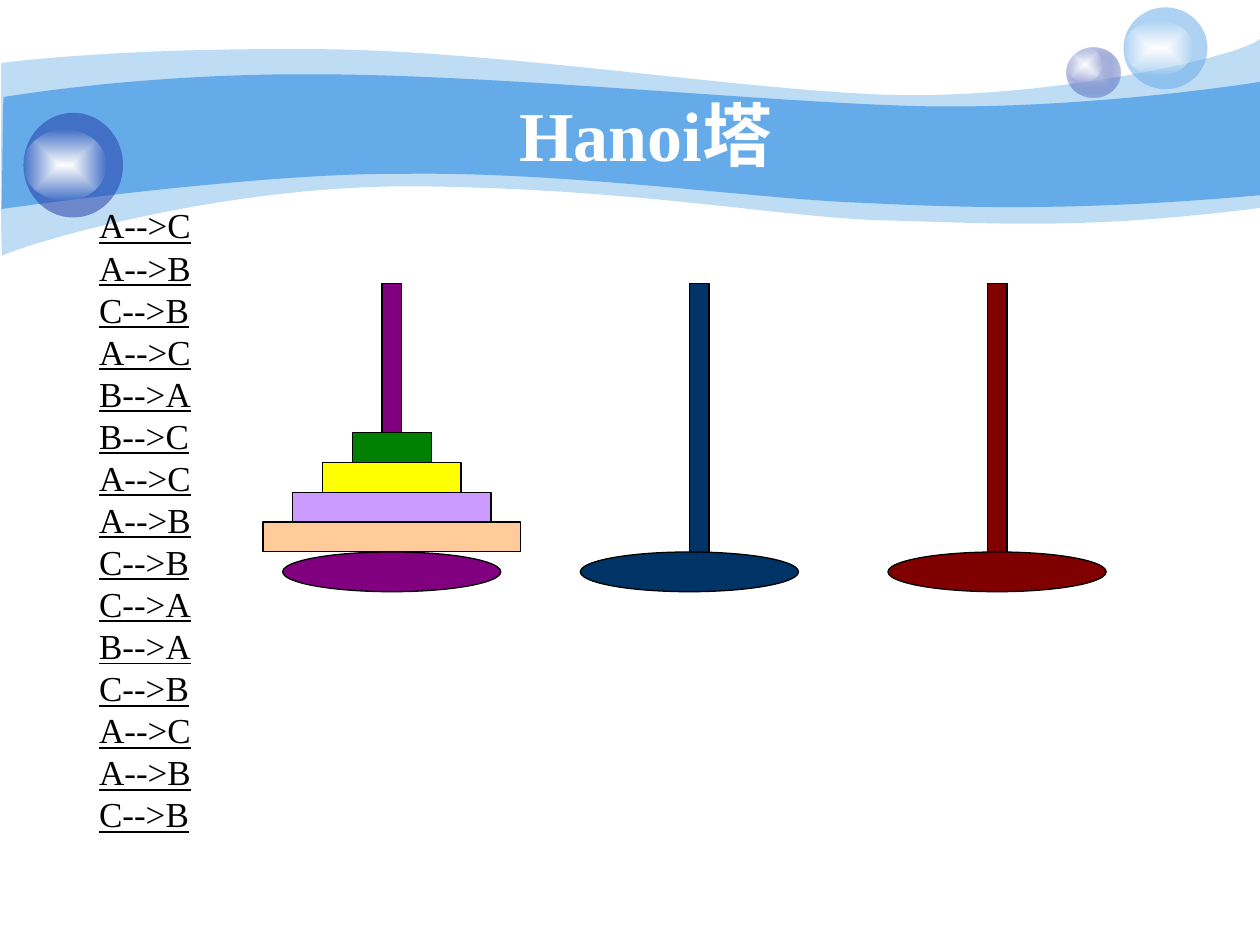
from lxml import etree
from pptx import Presentation
from pptx.dml.color import RGBColor
from pptx.enum.shapes import MSO_SHAPE
from pptx.enum.text import MSO_ANCHOR, MSO_AUTO_SIZE, PP_ALIGN
from pptx.oxml import parse_xml
from pptx.oxml.ns import nsdecls, qn
from pptx.util import Pt

WHITE = RGBColor(0xFF, 0xFF, 0xFF)
BLACK = RGBColor(0, 0, 0)
SKY = RGBColor(0x65, 0xAA, 0xE9)
INDIGO = RGBColor(0x23, 0x3D, 0xA9)
LAVENDER = RGBColor(0xC7, 0xCE, 0xE9)
MAROON = RGBColor(0x80, 0, 0)
NAVY = RGBColor(0, 0x33, 0x66)
PURPLE = RGBColor(0x80, 0, 0x80)
GREEN = RGBColor(0, 0x80, 0)
YELLOW = RGBColor(0xFF, 0xFF, 0)
LILAC = RGBColor(0xCC, 0x99, 0xFF)
PEACH = RGBColor(0xFF, 0xCC, 0x99)

prs = Presentation()
prs.slide_width, prs.slide_height = Pt(720), Pt(540)
s = prs.slides.add_slide(prs.slide_layouts[1])


def paint(sp, color, alpha=100, line=None):
    """Solid fill with optional transparency and outline, no shadow."""
    sp.shadow.inherit = False
    sp.fill.solid()
    sp.fill.fore_color.rgb = color
    if alpha < 100:
        clr = sp.fill._xPr.find(qn("a:solidFill"))[0]
        etree.SubElement(clr, qn("a:alpha")).set("val", str(alpha * 1000))
    if line is None:
        sp.line.fill.background()
    else:
        sp.line.color.rgb = line
        sp.line.width = Pt(0.75)


def add(kind, x, y, w, h, *style):
    sp = s.shapes.add_shape(kind, Pt(x), Pt(y), Pt(w), Pt(h))
    paint(sp, *style)
    return sp


# Wave bands: start point, then straight (one point) or cubic (three points) segments
waves = [
    (41, (0.7, 36), [
        (18, 33.8, 78.5, 27.4, 177.8, 28.1), (278, 28.1, 414.7, 50.4, 503.3, 54),
        (591.8, 57.6, 705.6, 33.8, 720, 22.3), (720, 118.8),
        (617.8, 131.8, 567.4, 127.4, 507.6, 126), (447.8, 124.6, 371.5, 108.7, 247.7, 106.6),
        (124.6, 103.7, 3.6, 143.3, 1.4, 146.2), (0, 149.8, 0.7, 54, 0.7, 36)]),
    (100, (2.2, 55.4), [
        (3.6, 55.4, 80.6, 41.8, 180, 42.5), (279.4, 42.5, 429.1, 57.6, 517.7, 60.5),
        (606.2, 63.4, 702.7, 49.7, 720, 46.8), (720, 111.6),
        (614.2, 121, 551.5, 118.8, 491.8, 115.9), (432, 113.8, 322.6, 97.9, 229.7, 99.4),
        (147.6, 98.6, 0, 119.5, 0.7, 119.5), (1.4, 119.5, 1.4, 55.4, 2.2, 55.4)]),
]
for alpha, start, segments in waves:
    fb = s.shapes.build_freeform(Pt(start[0]), Pt(start[1]))
    fb.add_line_segments([(Pt(seg[-2]), Pt(seg[-1])) for seg in segments], close=True)
    band = fb.convert_to_shape()
    paint(band, SKY, alpha)
    # Bend the straight segments into cubic curves
    for node, seg in zip(list(band._element.iter(qn("a:lnTo"))), segments):
        if len(seg) == 6:
            node.tag = qn("a:cubicBezTo")
            for i, (x, y) in enumerate([seg[:2], seg[2:4]]):
                pt = etree.Element(qn("a:pt"))
                pt.set("x", str(Pt(x) - band.left))
                pt.set("y", str(Pt(y) - band.top))
                node.insert(i, pt)

# Bubbles, each with a glow fading out from its centre
bubbles = [
    ((609.8, 27.2, 30.5, 28.8), INDIGO, 31, LAVENDER, (609.8, 27.2, 20.2, 19.4)),
    ((642, 4.2, 48, 46.8), SKY, 53, None, (642, 12, 40, 31)),
    ((13.4, 64.5, 56.9, 59.8), INDIGO, 53, None, (13.4, 74.2, 47.3, 40.3)),
]
for ball, color, alpha, core, glow in bubbles:
    fades = [(add(MSO_SHAPE.OVAL, *ball, color, alpha), core, color, alpha),
             (add(MSO_SHAPE.OVAL, *glow, WHITE), WHITE, WHITE, 0)]
    for sp, inner, outer, edge in fades:
        if inner is None:
            continue
        solid = sp.fill._xPr.find(qn("a:solidFill"))
        solid.getparent().replace(solid, parse_xml(
            f'<a:gradFill {nsdecls("a")} rotWithShape="1"><a:gsLst>'
            f'<a:gs pos="0"><a:srgbClr val="{inner}"/></a:gs>'
            f'<a:gs pos="100000"><a:srgbClr val="{outer}">'
            f'<a:alpha val="{edge * 1000}"/></a:srgbClr></a:gs></a:gsLst>'
            '<a:path path="shape"><a:fillToRect l="50000" t="50000" '
            'r="50000" b="50000"/></a:path></a:gradFill>'))

# Pegs: post and base
for post_x, base_x, color in [(564.2, 507.4, MAROON), (393.9, 331.6, NAVY), (218.2, 161.5, PURPLE)]:
    add(MSO_SHAPE.RECTANGLE, post_x, 162.2, 11.3, 164, color, 100, BLACK)
    add(MSO_SHAPE.OVAL, base_x, 315.4, 124.7, 22.7, color, 100, BLACK)

# Disks, smallest on top
for i, color in enumerate([GREEN, YELLOW, LILAC, PEACH]):
    w = 45.3 + 34 * i
    add(MSO_SHAPE.RECTANGLE, 223.9 - w / 2, 247.3 + 17 * i, w, 17, color, 100, BLACK)

# Title and list of moves, in front of the artwork
title, body = s.shapes.title, s.placeholders[1]
moves = "AC AB CB AC BA BC AC AB CB CA BA CB AC AB CB".split()
texts = [
    (title, ["Hanoi塔"], (78, 54, 582, 44.6), MSO_ANCHOR.MIDDLE, PP_ALIGN.CENTER,
     MSO_AUTO_SIZE.NONE, None, {"size": Pt(40), "bold": True}, WHITE),
    (body, [f"{a}-->{b}" for a, b in moves], (49.4, 112.9, 360, 370.8), MSO_ANCHOR.TOP,
     PP_ALIGN.LEFT, MSO_AUTO_SIZE.SHAPE_TO_FIT_TEXT, Pt(24.03),
     {"size": Pt(20), "underline": True}, BLACK),
]
for sp, lines, box, anchor, align, fit, spacing, fmt, color in texts:
    s.shapes._spTree.append(sp._element)
    sp.left, sp.top, sp.width, sp.height = map(Pt, box)
    tf = sp.text_frame
    tf.text = "\n".join(lines)
    tf.word_wrap, tf.auto_size, tf.vertical_anchor = True, fit, anchor
    for p in tf.paragraphs:
        p.alignment, p.line_spacing, p.space_before = align, spacing, Pt(0)
        pPr = p._p.get_or_add_pPr()
        pPr.set("marL", "0")
        pPr.set("indent", "0")
        etree.SubElement(pPr, qn("a:buNone"))
        font = p.runs[0].font
        for key, value in {"name": "Times New Roman", **fmt}.items():
            setattr(font, key, value)
        font.color.rgb = color

prs.save("out.pptx")
